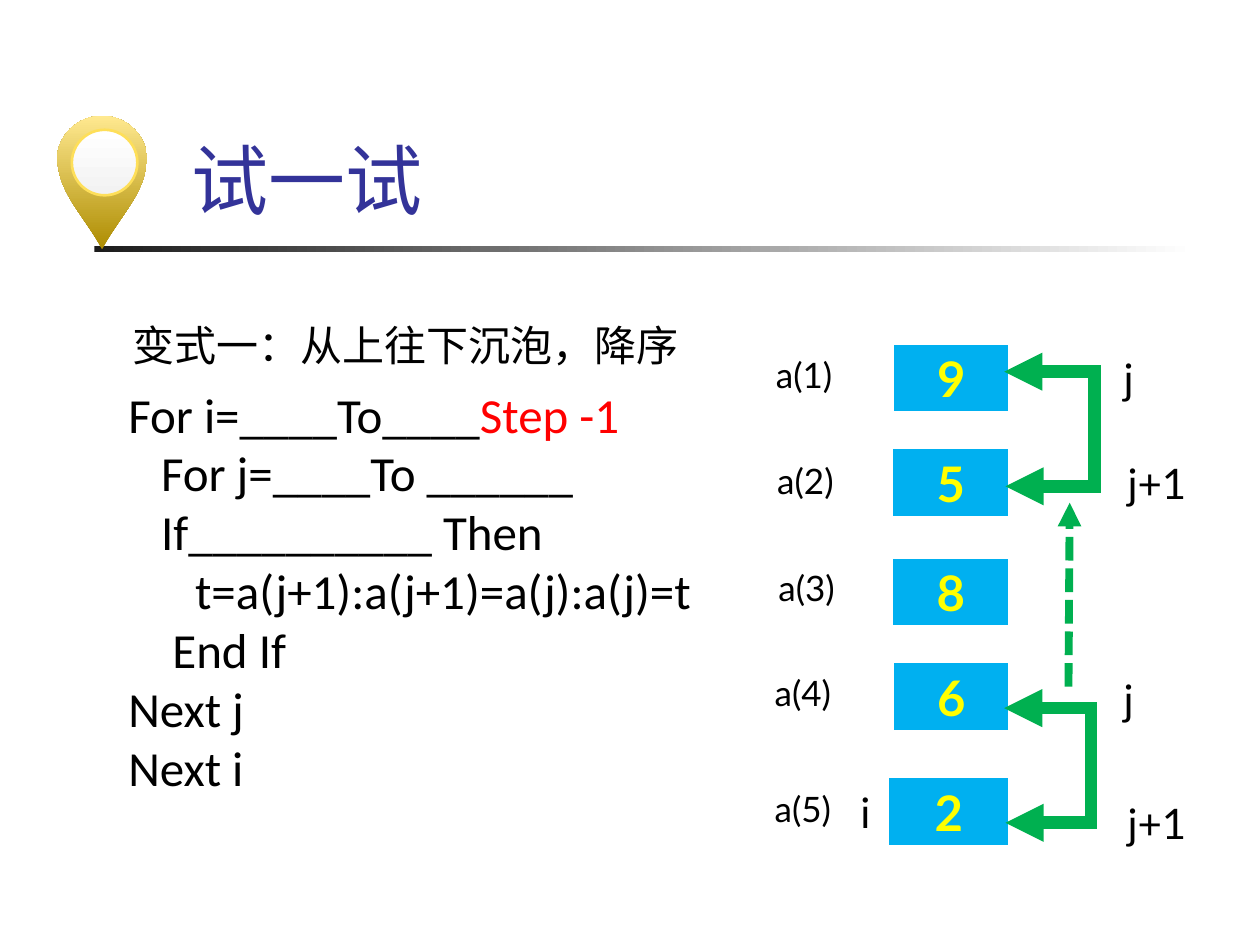
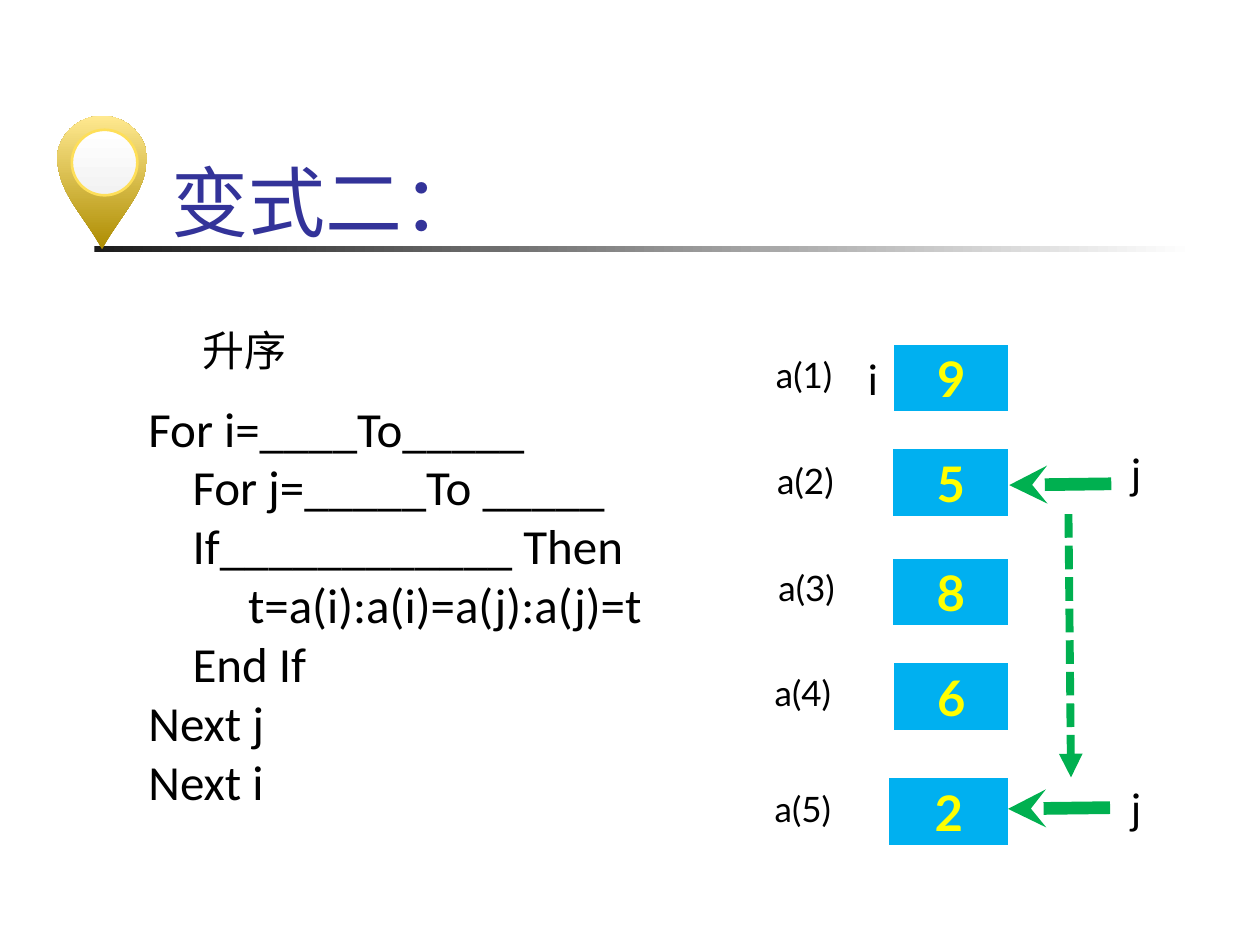
import pptx
import pptx.dml.color
import pptx.enum.dml
import pptx.enum.shapes
import pptx.enum.text
import pptx.oxml.ns
import pptx.util
from lxml import etree

Inches = pptx.util.Inches
Pt = pptx.util.Pt
RGBColor = pptx.dml.color.RGBColor
qn = pptx.oxml.ns.qn
SHAPES = pptx.enum.shapes.MSO_SHAPE
CONNECTORS = pptx.enum.shapes.MSO_CONNECTOR
ALIGN = pptx.enum.text.PP_ALIGN

BLACK = RGBColor(0x00, 0x00, 0x00)
WHITE = RGBColor(0xFF, 0xFF, 0xFF)
RULE_DARK = RGBColor(0x1C, 0x1C, 0x1C)
PIN_DARK = RGBColor(0xAD, 0x8C, 0x01)
PIN_LIGHT = RGBColor(0xFF, 0xE9, 0x90)
PIN_RING = RGBColor(0xFE, 0xDF, 0x59)
PIN_CENTRE = RGBColor(0xF2, 0xF2, 0xF2)
TITLE_BLUE = RGBColor(0x33, 0x33, 0x99)
CELL_BLUE = RGBColor(0x00, 0xB0, 0xF0)
CELL_YELLOW = RGBColor(0xFF, 0xFF, 0x00)
ARROW_GREEN = RGBColor(0x00, 0xB0, 0x50)
STEP_RED = RGBColor(0xFF, 0x00, 0x00)

BODY_FONT = "Lato"
CODE_FONT = "Calibri"
CHINESE_FONT = "Noto Sans CJK SC"

# Array cells: value, cell left and top, label left and top, from the diagram's corner
ARRAY_CELLS = [
    ("9", 1.06, 0, 0.01, 0.01),
    ("5", 1.05, 0.83, 0.02, 0.85),
    ("8", 1.05, 1.7, 0.03, 1.7),
    ("6", 1.06, 2.53, 0, 2.53),
    ("2", 1.02, 3.44, 0, 3.45),
]
CELL_RIGHT = 1.94
CELL_HEIGHT = 0.5


# ---- Helpers ----
def format_run(run, size, colour, font=BODY_FONT, bold=False):
    run.font.size = Pt(size)
    run.font.name = font
    run.font.bold = bold
    run.font.color.rgb = colour
    east_asian = etree.Element(qn("a:ea"), typeface=font)
    run.font._element.find(qn("a:latin")).addnext(east_asian)


def add_text(slide, left, top, width, height, text, size,
             colour=BLACK, font=BODY_FONT):
    box = slide.shapes.add_textbox(Inches(left), Inches(top),
                                   Inches(width), Inches(height))
    frame = box.text_frame
    frame.word_wrap = True
    frame.text = text
    format_run(frame.paragraphs[0].runs[0], size, colour, font)


def fill_gradient(shape, first, last, angle):
    shape.shadow.inherit = False
    shape.fill.gradient()
    shape.fill.gradient_angle = angle
    for stop, colour in zip(shape.fill.gradient_stops, (first, last)):
        stop.color.rgb = colour


def square_corners(shape):
    line = shape._element.spPr.find(qn("a:ln"))
    etree.SubElement(line, qn("a:miter"), lim="800000")
    return line


def add_arrow(slide, start, end, width, head=None, tail=None,
              dashed=False, bend=None):
    """Draw an arrow; bend is the x of the middle leg of an elbow."""
    kind = CONNECTORS.STRAIGHT if bend is None else CONNECTORS.ELBOW
    arrow = slide.shapes.add_connector(
        kind, *(Inches(length) for length in (*start, *end)))
    arrow.line.color.rgb = ARROW_GREEN
    arrow.line.width = Pt(width)
    if dashed:
        arrow.line.dash_style = pptx.enum.dml.MSO_LINE.SQUARE_DOT
    line = square_corners(arrow)
    for tag, end_type in (("a:headEnd", head), ("a:tailEnd", tail)):
        if end_type:
            etree.SubElement(line, qn(tag), type=end_type)
    properties = arrow._element.spPr
    etree.SubElement(properties, qn("a:effectLst"))
    if bend is not None:
        ratio = (bend - start[0]) / (end[0] - start[0])
        adjustments = properties.find(qn("a:prstGeom")).find(qn("a:avLst"))
        etree.SubElement(adjustments, qn("a:gd"), name="adj1",
                         fmla=f"val {round(ratio * 100000)}")


def curve_points(start, control_1, control_2, end, steps=16):
    for step in range(1, steps + 1):
        t = step / steps
        u = 1 - t
        yield tuple(u**3 * a + 3 * u * u * t * b + 3 * u * t * t * c + t**3 * d
                    for a, b, c, d in zip(start, control_1, control_2, end))


# ---- Regions ----
def add_pin(slide, left, top):
    # Right half of the drop, mirrored for the left half
    middle = 0.36
    right = [(middle, 0),
             *curve_points((middle, 0), (0.56, 0), (0.72, 0.16), (0.72, 0.36)),
             *curve_points((0.71, 0.36), (0.71, 0.61), (0.48, 0.82), (middle, 1.06))]
    outline = right + [(2 * middle - x, y) for x, y in reversed(right[1:-1])]
    points = [(Inches(left + x), Inches(top + y)) for x, y in outline]
    builder = slide.shapes.build_freeform(*points[0], scale=1.0)
    builder.add_line_segments(points[1:], close=True)
    drop = builder.convert_to_shape()
    fill_gradient(drop, PIN_DARK, PIN_LIGHT, 90)
    drop.line.fill.background()

    centre = slide.shapes.add_shape(SHAPES.OVAL, Inches(left + 0.12),
                                    Inches(top + 0.11), Inches(0.52), Inches(0.52))
    fill_gradient(centre, PIN_CENTRE, WHITE, 90)
    centre.line.color.rgb = PIN_RING
    centre.line.width = Pt(1.5)


def add_header(slide, title, left, top, width):
    rule = slide.shapes.add_shape(SHAPES.RECTANGLE, Inches(0.75), Inches(1.95),
                                  Inches(8.73), Inches(0.05))
    fill_gradient(rule, RULE_DARK, WHITE, 0)
    rule.line.fill.background()
    add_pin(slide, 0.45, 0.92)
    add_text(slide, left, top, width, 0.84, title, 44, TITLE_BLUE)


def add_code(slide, left, top, width, lines):
    """Each line is its indent in inches, its text and an optional red ending."""
    box = slide.shapes.add_textbox(Inches(left), Inches(top),
                                   Inches(width), Inches(3.37))
    frame = box.text_frame
    frame.word_wrap = True
    for index, (indent, text, *red_ending) in enumerate(lines):
        paragraph = frame.add_paragraph() if index else frame.paragraphs[0]
        paragraph.alignment = ALIGN.JUSTIFY
        paragraph._p.get_or_add_pPr().set("marL", str(Inches(indent)))
        for part, colour in zip((text, *red_ending), (BLACK, STEP_RED)):
            run = paragraph.add_run()
            run.text = part
            format_run(run, 28, colour, CODE_FONT)


def add_array(slide, left, top):
    for number, (value, cell_x, cell_y, label_x, label_y) in enumerate(ARRAY_CELLS, 1):
        cell = slide.shapes.add_shape(
            SHAPES.RECTANGLE, Inches(left + cell_x), Inches(top + cell_y),
            Inches(CELL_RIGHT - cell_x), Inches(CELL_HEIGHT))
        cell.shadow.inherit = False
        cell.fill.solid()
        cell.fill.fore_color.rgb = CELL_BLUE
        cell.line.color.rgb = CELL_BLUE
        cell.line.width = Pt(2)
        square_corners(cell)
        cell.text_frame.text = value
        cell.text_frame.vertical_anchor = pptx.enum.text.MSO_ANCHOR.MIDDLE
        paragraph = cell.text_frame.paragraphs[0]
        paragraph.alignment = ALIGN.CENTER
        format_run(paragraph.runs[0], 28, CELL_YELLOW, bold=True)
        add_text(slide, left + label_x, top + label_y, 0.76, 0.44, f"a({number})", 20)


def add_index_names(slide, left, top, names):
    widths = {"i": 0.34, "j": 0.34, "j+1": 0.75}
    for name, x, y in names:
        add_text(slide, left + x, top + y, widths[name], 0.5, name, 24)


def add_swap_diagram(slide, left, top):
    """Neighbouring cells are compared, from the bottom pair upwards."""
    add_array(slide, left, top)
    for pair_top, bend in ((2.87, 2.62), (0.2, 2.65)):
        add_arrow(slide, (left + 1.92, top + pair_top),
                  (left + 1.93, top + pair_top + 0.91), 7.25,
                  head="triangle", tail="triangle", bend=left + bend)
    add_arrow(slide, (left + 2.43, top + 2.7), (left + 2.44, top + 1.24), 4.5,
              tail="triangle", dashed=True)
    add_index_names(slide, left, top, [
        ("j", 2.77, 0), ("j+1", 2.8, 0.83),
        ("j", 2.77, 2.55), ("j+1", 2.8, 3.53), ("i", 0.68, 3.44)])


def add_scan_diagram(slide, left, top):
    """The first cell is compared with each cell below it."""
    add_array(slide, left, top)
    for x, y in ((1.96, 1.1), (1.95, 3.67)):
        add_arrow(slide, (left + x, top + y), (left + x + 0.81, top + y - 0.01),
                  7.25, head="stealth")
    add_arrow(slide, (left + 2.43, top + 1.33), (left + 2.45, top + 3.42), 4.5,
              tail="triangle", dashed=True)
    add_index_names(slide, left, top, [
        ("i", 0.74, 0.01), ("j", 2.83, 0.75), ("j", 2.83, 3.41)])


# ---- Slides ----
def add_descending_slide(presentation):
    slide = presentation.slides.add_slide(presentation.slide_layouts[6])
    add_header(slide, "试一试", 1.42, 1, 2.92)
    add_text(slide, 0.95, 2.49, 4.7, 0.5, "变式一：从上往下沉泡，降序", 24,
             font=CHINESE_FONT)
    add_code(slide, 0.92, 3, 5.11, [
        (0, "For i=____To____", "Step -1"),
        (0.26, "For j=____To ______"),
        (0.26, "If__________ Then"),
        (0.53, "t=a(j+1):a(j+1)=a(j):a(j)=t"),
        (0.35, "End If"),
        (0, "Next j"),
        (0, "Next i"),
    ])
    add_swap_diagram(slide, 6.05, 2.75)


def add_ascending_slide(presentation):
    slide = presentation.slides.add_slide(presentation.slide_layouts[6])
    add_header(slide, "变式二：", 1.26, 1.18, 2.92)
    add_text(slide, 1.51, 2.53, 1, 0.5, "升序", 24, font=CHINESE_FONT)
    add_code(slide, 1.08, 3.11, 5.21, [
        (0, "For i=____To_____"),
        (0.35, "For j=_____To _____"),
        (0.35, "If____________ Then"),
        (0.79, "t=a(i):a(i)=a(j):a(j)=t"),
        (0.35, "End If"),
        (0, "Next j"),
        (0, "Next i"),
    ])
    add_scan_diagram(slide, 6.05, 2.75)


presentation = pptx.Presentation()
presentation.slide_width = Inches(10)
presentation.slide_height = Inches(7.5)
add_descending_slide(presentation)
add_ascending_slide(presentation)
presentation.save("out.pptx")
